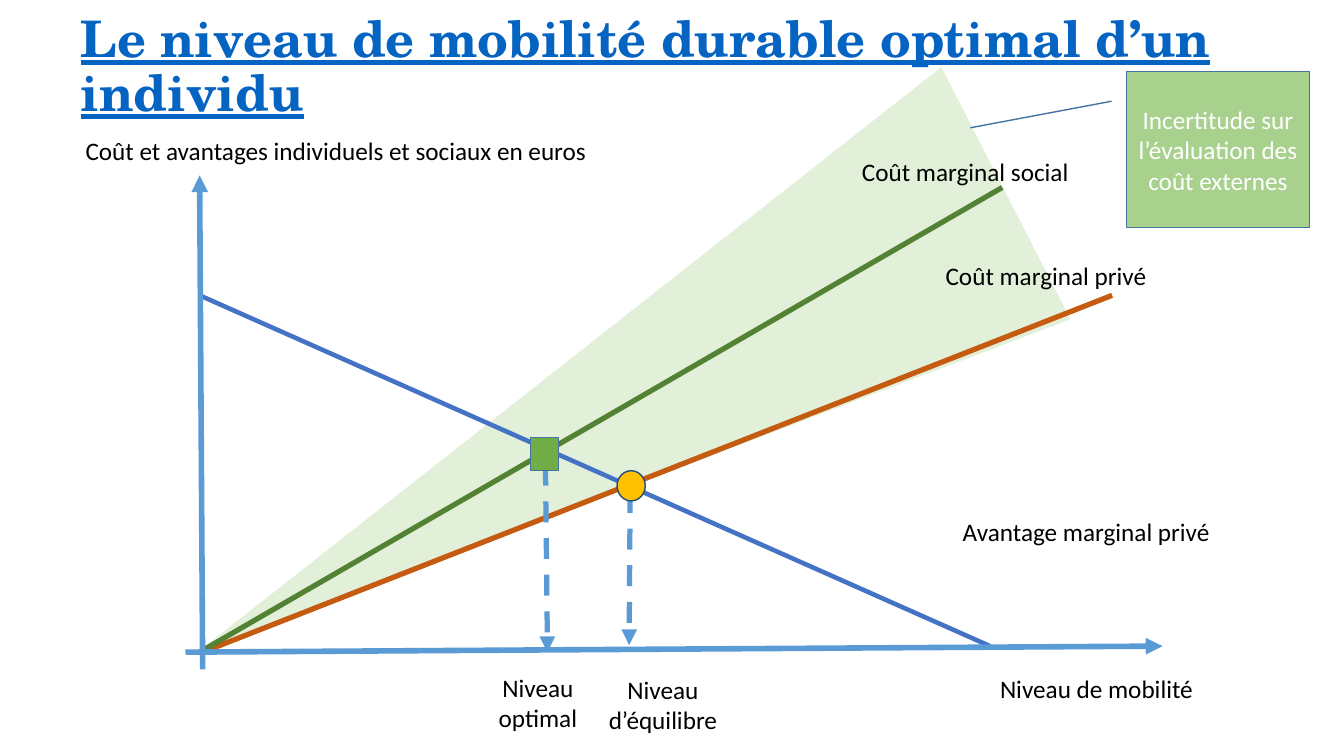
from lxml import etree
from pptx import Presentation
from pptx.dml.color import RGBColor
from pptx.enum.dml import MSO_LINE
from pptx.enum.shapes import MSO_CONNECTOR, MSO_SHAPE
from pptx.enum.text import MSO_ANCHOR, MSO_AUTO_SIZE, PP_ALIGN
from pptx.oxml.ns import qn
from pptx.util import Inches, Pt

STRAIGHT = MSO_CONNECTOR.STRAIGHT
TRIANGLE = MSO_SHAPE.ISOSCELES_TRIANGLE
ELLIPSE = MSO_SHAPE.OVAL
RECTANGLE = MSO_SHAPE.RECTANGLE
CALLOUT = MSO_SHAPE.LINE_CALLOUT_1
DASH = MSO_LINE.DASH
MIDDLE = MSO_ANCHOR.MIDDLE
LEFT = PP_ALIGN.LEFT
CENTER = PP_ALIGN.CENTER
NO_FIT = MSO_AUTO_SIZE.NONE
GROW = MSO_AUTO_SIZE.SHAPE_TO_FIT_TEXT

BLACK = RGBColor(0x00, 0x00, 0x00)
WHITE = RGBColor(0xFF, 0xFF, 0xFF)
TITLE_BLUE = RGBColor(0x05, 0x63, 0xC1)
AXIS_BLUE = RGBColor(0x5B, 0x9B, 0xD5)
BENEFIT_BLUE = RGBColor(0x44, 0x72, 0xC4)
OUTLINE_BLUE = RGBColor(0x43, 0x73, 0x9E)
DARK_BLUE = RGBColor(0x1F, 0x4E, 0x79)
ORANGE = RGBColor(0xC5, 0x5A, 0x11)
GOLD = RGBColor(0xFF, 0xC0, 0x00)
PALE_GREEN = RGBColor(0xE2, 0xF0, 0xD9)
LIGHT_GREEN = RGBColor(0xA9, 0xD1, 0x8E)
MARKER_GREEN = RGBColor(0x70, 0xAD, 0x47)
DARK_GREEN = RGBColor(0x54, 0x82, 0x35)


class DiagramSlide:
    title_font = "TeX Gyre Schola"
    body_font = "Calibri"
    body_size = Pt(18)

    def __init__(self, presentation):
        self.slide = presentation.slides.add_slide(presentation.slide_layouts[5])
        self.shapes = self.slide.shapes

    def title(self, text, left, top, width, height):
        heading = self.shapes.title
        heading.left, heading.top = Inches(left), Inches(top)
        heading.width, heading.height = Inches(width), Inches(height)
        frame = heading.text_frame
        frame.auto_size = NO_FIT
        frame.word_wrap = True
        frame.vertical_anchor = MIDDLE
        paragraph = frame.paragraphs[0]
        paragraph.alignment = LEFT
        paragraph.line_spacing = 0.9
        font = self.run(paragraph, text, TITLE_BLUE)
        font.name, font.size = self.title_font, Pt(36)
        font.bold = font.underline = True

    def run(self, paragraph, text, color):
        run = paragraph.add_run()
        run.text = text
        font = run.font
        font.name, font.size = self.body_font, self.body_size
        font.color.rgb = color
        return font

    def label(self, lines, left, top, width, height=0.4, align=LEFT):
        box = self.shapes.add_textbox(
            Inches(left), Inches(top), Inches(width), Inches(height))
        frame = box.text_frame
        frame.word_wrap = False
        frame.auto_size = GROW
        paragraph = frame.paragraphs[0]
        paragraph.alignment = align
        for index, line in enumerate(lines):
            if index:
                paragraph.add_line_break()
            self.run(paragraph, line, BLACK)

    def line(self, start, end, color, width, arrow=False, dash=None):
        connector = self.shapes.add_connector(
            STRAIGHT, *(Inches(value) for value in start + end))
        connector.line.color.rgb = color
        connector.line.width = Pt(width)
        if dash:
            connector.line.dash_style = dash
        properties = connector._element.spPr
        if arrow:
            outline = properties.find(qn("a:ln"))
            etree.SubElement(outline, qn("a:tailEnd"), type="triangle")
        etree.SubElement(properties, qn("a:effectLst"))

    def shape(self, kind, left, top, width, height, fill, outline=None,
              adjustments=(), rotation=0):
        shape = self.shapes.add_shape(
            kind, Inches(left), Inches(top), Inches(width), Inches(height))
        shape.shadow.inherit = False
        shape.rotation = rotation
        shape.fill.solid()
        shape.fill.fore_color.rgb = fill
        if outline is None:
            shape.line.fill.background()
        else:
            shape.line.color.rgb = outline
            shape.line.width = Pt(1)
        for index, value in enumerate(adjustments):
            shape.adjustments[index] = value
        return shape

    def callout(self, text, left, top, width, height, adjustments):
        shape = self.shape(CALLOUT, left, top, width, height, LIGHT_GREEN,
                           OUTLINE_BLUE, adjustments)
        frame = shape.text_frame
        frame.word_wrap = True
        frame.vertical_anchor = MIDDLE
        paragraph = frame.paragraphs[0]
        paragraph.alignment = CENTER
        self.run(paragraph, text, WHITE)


def main():
    presentation = Presentation()
    presentation.slide_width = Inches(13.33)
    presentation.slide_height = Inches(7.5)
    diagram = DiagramSlide(presentation)

    diagram.title("Le niveau de mobilité durable optimal d’un individu",
                  0.7, -0.05, 11.76, 1.45)

    diagram.shape(TRIANGLE, 4.49, -0.58, 2.81, 9.17, PALE_GREEN,
                  adjustments=(0.36,), rotation=242.9)
    diagram.line((2.01, 6.47), (11.03, 2.93), ORANGE, 3.75)
    diagram.line((1.98, 6.47), (9.94, 1.86), DARK_GREEN, 3.75)
    diagram.line((1.98, 2.93), (9.82, 6.41), BENEFIT_BLUE, 3.25)

    diagram.line((1.84, 6.47), (11.53, 6.41), AXIS_BLUE, 4, arrow=True)
    diagram.line((2.01, 6.64), (1.98, 1.74), AXIS_BLUE, 4, arrow=True)

    for text, left, top, width in (
        ("Coût marginal privé", 9.28, 2.53, 2.22),
        ("Niveau de mobilité", 9.82, 6.63, 2.14),
        ("Coût et avantages individuels et sociaux en euros", 0.75, 1.29, 5.23),
        ("Coût marginal social", 8.45, 1.5, 2.27),
        ("Avantage marginal privé", 9.45, 5.07, 2.68),
    ):
        diagram.label((text,), left, top, width)

    for start, end in (((6.25, 4.88), (6.24, 6.4)), ((5.41, 4.61), (5.43, 6.47))):
        diagram.line(start, end, AXIS_BLUE, 3.75, arrow=True, dash=DASH)
    diagram.label(("Niveau", "d’équilibre"), 5.93, 6.64, 1.29, 0.71, CENTER)
    diagram.label(("Niveau", "optimal"), 4.84, 6.62, 0.99, 0.71, CENTER)

    diagram.shape(ELLIPSE, 6.12, 4.67, 0.28, 0.3, GOLD, DARK_BLUE)
    diagram.shape(RECTANGLE, 5.26, 4.34, 0.28, 0.33, MARKER_GREEN, OUTLINE_BLUE)
    diagram.callout("Incertitude sur l’évaluation des coût externes",
                    11.17, 0.71, 1.82, 1.55, (0.19, -0.08, 0.36, -0.85))

    presentation.save("out.pptx")


if __name__ == "__main__":
    main()
